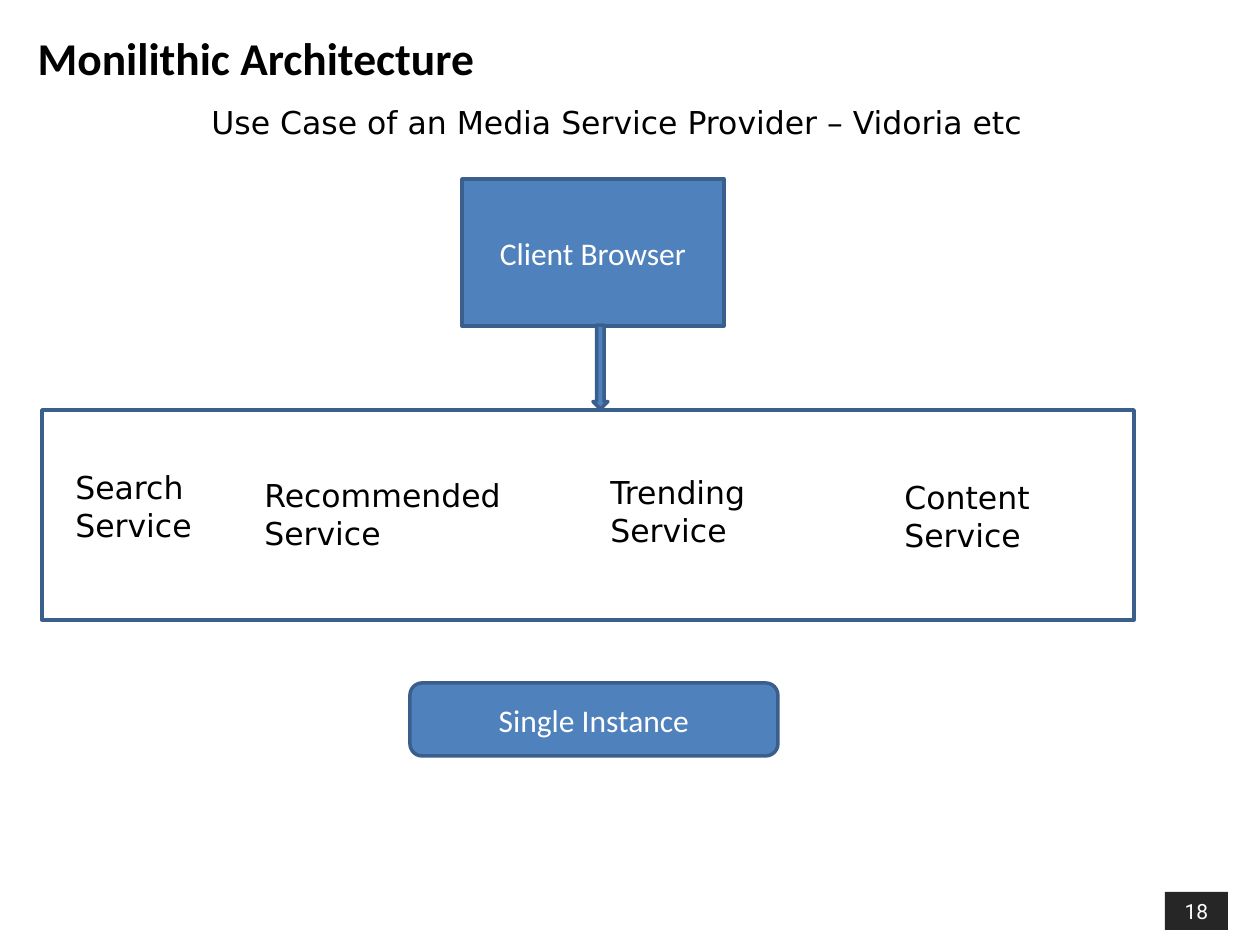
import pptx
import pptx.util
import pptx.dml.color
import pptx.enum.shapes
import pptx.enum.text

PX = 914400 / 126
COLORS = {"blue": "4F81BD", "edge": "3A5F8C", "dark": "262626", "black": "000000", "white": "FFFFFF"}
SHAPE = pptx.enum.shapes.MSO_SHAPE
ALIGN = pptx.enum.text.PP_ALIGN
ANCHOR = pptx.enum.text.MSO_ANCHOR


def emu(*lengths):
    """Convert pixel lengths to EMU."""
    return [round(n * PX) for n in lengths]


def rgb(name):
    """Return the palette colour of that name."""
    return pptx.dml.color.RGBColor.from_string(COLORS[name])


def write(tf, text, font="DejaVu Sans", size=18, color="black", bold=False,
          align=ALIGN.LEFT, anchor=ANCHOR.TOP):
    """Fill a text frame with one paragraph per line of text."""
    tf.word_wrap = True
    tf.vertical_anchor = anchor
    for i, line in enumerate(text.split("\n")):
        p = tf.paragraphs[0] if i == 0 else tf.add_paragraph()
        p.alignment = align
        r = p.add_run()
        r.text = line
        r.font.name = font
        r.font.size = pptx.util.Pt(size)
        r.font.bold = bold
        r.font.color.rgb = rgb(color)


class Deck:
    """Hold the presentation, its style and the current slide."""

    def __init__(self, width, height):
        """Start a presentation with one title-only slide."""
        self.prs = pptx.Presentation()
        self.prs.slide_width, self.prs.slide_height = emu(width, height)
        self.s = self.prs.slides.add_slide(self.prs.slide_layouts[5])
        self.line_width = pptx.util.Pt(2)

    def title(self, text, *box):
        """Place and format the title placeholder."""
        sp = self.s.shapes.title
        sp.left, sp.top, sp.width, sp.height = emu(*box)
        write(sp.text_frame, text, font="Calibri", size=26, bold=True, anchor=ANCHOR.MIDDLE)

    def label(self, text, *box):
        """Add a plain text box."""
        sp = self.s.shapes.add_textbox(*emu(*box))
        write(sp.text_frame, text)

    def shape(self, kind, *box, text="", fill="blue", edge="edge", **fmt):
        """Add a preset shape with optional fill, outline and text."""
        sp = self.s.shapes.add_shape(kind, *emu(*box))
        sp.shadow.inherit = False
        if fill:
            sp.fill.solid()
            sp.fill.fore_color.rgb = rgb(fill)
        else:
            sp.fill.background()
        if edge:
            sp.line.color.rgb = rgb(edge)
            sp.line.width = self.line_width
        else:
            sp.line.fill.background()
        if text:
            style = dict(font="Calibri", color="white", align=ALIGN.CENTER, anchor=ANCHOR.MIDDLE)
            write(sp.text_frame, text, **{**style, **fmt})


def main():
    """Build the slide and save it."""
    deck = Deck(1260, 945)
    deck.shape(SHAPE.RECTANGLE, 1165, 892, 63, 38, text="18", fill="dark", edge=None,
               font="Roboto", size=12, anchor=ANCHOR.TOP)
    deck.title("Monilithic Architecture", 25, 19, 1216, 77)
    deck.label("Use Case of an Media Service Provider – Vidoria etc", 199, 97, 848, 50)
    deck.shape(SHAPE.RECTANGLE, 462, 179, 262, 147, text="Client Browser")
    deck.shape(SHAPE.DOWN_ARROW, 593, 325, 15, 84)
    deck.shape(SHAPE.RECTANGLE, 42, 410, 1092, 210, fill=None)
    services = [("Search", 63, 462, 179), ("Recommended", 252, 470, 262),
                ("Trending", 598, 467, 262), ("Content", 892, 472, 160)]
    for name, left, top, width in services:
        deck.label(f"{name}\nService", left, top, width, 89)
    deck.shape(SHAPE.ROUNDED_RECTANGLE, 410, 683, 368, 73, text="Single Instance")
    deck.prs.save("out.pptx")


if __name__ == "__main__":
    main()
